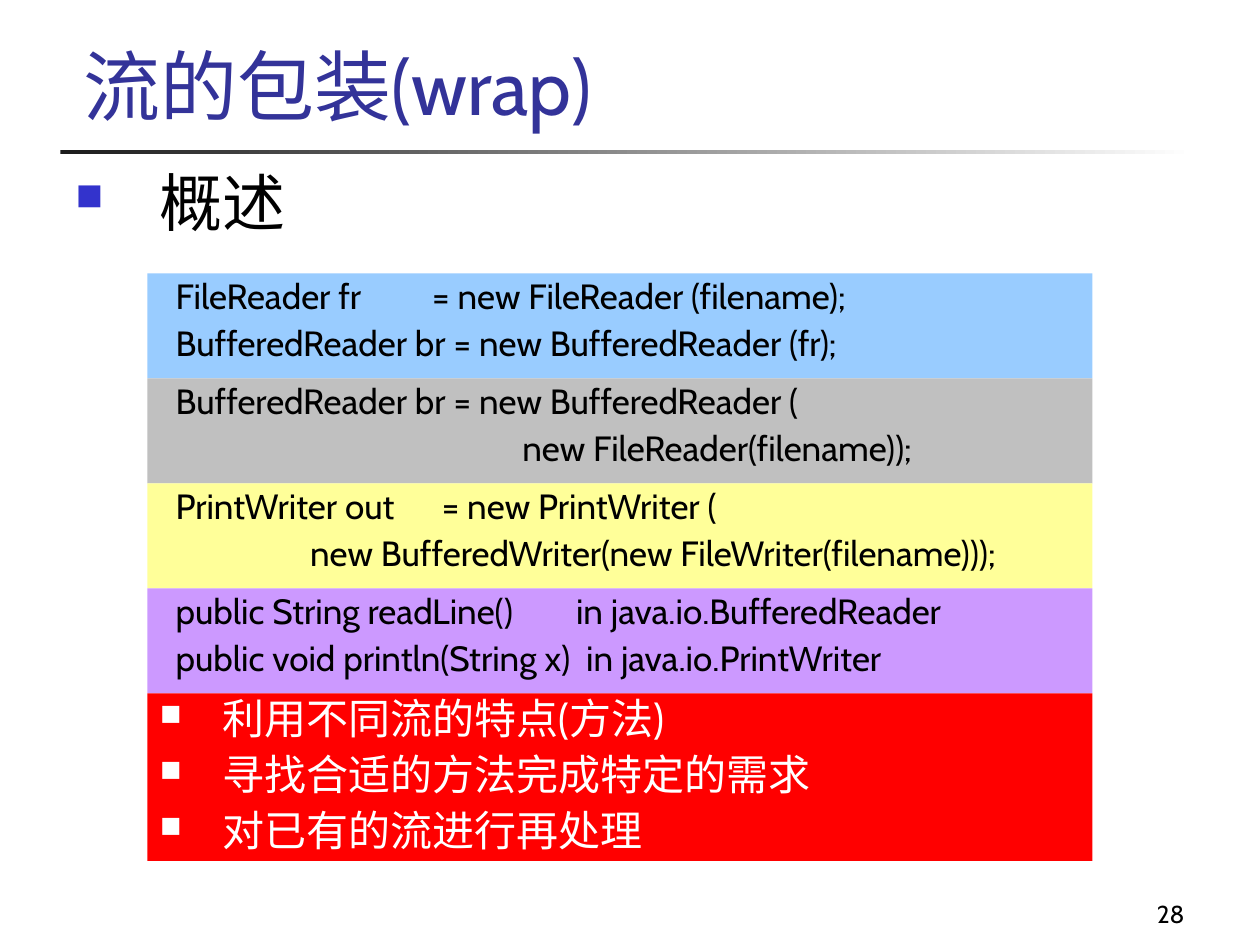
"""Build the slide on wrapping Java streams."""
import dataclasses
import typing

import lxml.etree
import pptx
import pptx.dml.color
import pptx.enum.shapes
import pptx.enum.text
import pptx.oxml.ns
import pptx.util

Inches = pptx.util.Inches
Anchor = pptx.enum.text.MSO_ANCHOR
Align = pptx.enum.text.PP_ALIGN


@dataclasses.dataclass(frozen=True)
class Theme:
    ink: str = "000000"
    paper: str = "FFFFFF"
    title: str = "333399"
    bullet: str = "3333CC"
    rule: str = "1C1C1C"
    wrapping: str = "99CCFF"
    nested: str = "C0C0C0"
    writing: str = "FFFF99"
    methods: str = "CC99FF"
    summary: str = "FF0000"
    font: str = "Cabin"
    heading_font: str = "Comic Neue"
    title_size: int = 44
    heading_size: int = 36
    summary_size: int = 24
    code_size: int = 20
    number_size: int = 14


THEME = Theme()


class Box(typing.NamedTuple):
    left: float
    top: float
    width: float
    height: float

    def lengths(self) -> list[int]:
        return [Inches(side) for side in self]


class Bullet(typing.NamedTuple):
    color: str
    percent: int


@dataclasses.dataclass(frozen=True)
class CodeBand:
    color: str
    lines: tuple[str, ...]


CODE_BANDS = (
    CodeBand(THEME.wrapping, (
        "  FileReader fr         = new FileReader (filename);",
        "  BufferedReader br = new BufferedReader (fr);",
    )),
    CodeBand(THEME.nested, (
        "  BufferedReader br = new BufferedReader (",
        "                                              new FileReader(filename));",
    )),
    CodeBand(THEME.writing, (
        "  PrintWriter out      = new PrintWriter (",
        "\t\t     new BufferedWriter(new FileWriter(filename)));",
    )),
    CodeBand(THEME.methods, (
        "  public String readLine()        in java.io.BufferedReader",
        "  public void println(String x)  in java.io.PrintWriter",
    )),
)
SUMMARY = ("利用不同流的特点(方法)", "寻找合适的方法完成特定的需求", "对已有的流进行再处理")

BAND_LEFT, BAND_TOP, BAND_WIDTH = 1.17, 2.17, 7.5
BAND_HEIGHT = 2.5 / 3
SUMMARY_HEIGHT = 1.33


def rgb(color: str) -> pptx.dml.color.RGBColor:
    """Turn a hex string into a colour."""
    return pptx.dml.color.RGBColor.from_string(color)


def add_element(parent, tag: str, **attributes: str):
    """Append a DrawingML element."""
    return lxml.etree.SubElement(parent, pptx.oxml.ns.qn(tag), attributes)


def write_text(shape, *lines: str, size: int, color: str = THEME.ink,
               font: str = THEME.font, align=Align.LEFT, anchor=Anchor.TOP,
               wrap: bool = True, hanging: float = 0, spacing: float = 1,
               before: int = 0, bullet: Bullet | None = None,
               first_tab: int | None = None) -> None:
    """Fill a shape with equally formatted paragraphs."""
    frame = shape.text_frame
    frame.auto_size = pptx.enum.text.MSO_AUTO_SIZE.NONE
    frame.word_wrap = wrap
    frame.vertical_anchor = anchor
    for index, line in enumerate(lines):
        paragraph = frame.add_paragraph() if index else frame.paragraphs[0]
        paragraph.alignment = align
        paragraph.line_spacing = spacing
        paragraph.space_before = pptx.util.Pt(before if index else 0)
        properties = paragraph._p.get_or_add_pPr()
        properties.set("marL", str(Inches(hanging)))
        properties.set("indent", str(-Inches(hanging)))
        if bullet:
            bullet_color = add_element(properties, "a:buClr")
            add_element(bullet_color, "a:srgbClr", val=bullet.color)
            add_element(properties, "a:buSzPct", val=str(bullet.percent * 1000))
            add_element(properties, "a:buChar", char="■")
        if first_tab is not None:
            tabs = add_element(properties, "a:tabLst")
            for position in range(first_tab, first_tab + 8):
                add_element(tabs, "a:tab", pos=str(Inches(position)), algn="l")
        run = paragraph.add_run()
        run.text = line
        run.font.name = font
        run.font.size = pptx.util.Pt(size)
        run.font.color.rgb = rgb(color)


def add_band(slide, box: Box, color: str):
    """Add a plain rectangle."""
    band = slide.shapes.add_shape(
        pptx.enum.shapes.MSO_SHAPE.RECTANGLE, *box.lengths())
    band.shadow.inherit = False
    band.line.fill.background()
    band.fill.solid()
    band.fill.fore_color.rgb = rgb(color)
    return band


def add_rule(slide, box: Box) -> None:
    """Add the fading rule below the title."""
    fill = add_band(slide, box, THEME.rule).fill
    fill.gradient()
    fill.gradient_angle = 0
    for stop, position, color in zip(
            fill.gradient_stops, (0, 1), (THEME.rule, THEME.paper)):
        stop.position = position
        stop.color.rgb = rgb(color)


def main() -> None:
    """Compose and save the slide."""
    deck = pptx.Presentation()
    deck.slide_width, deck.slide_height = Inches(10), Inches(7.5)
    slide = deck.slides.add_slide(deck.slide_layouts.get_by_name("Title Only"))

    title = slide.shapes.title
    title.left, title.top, title.width, title.height = Box(
        0.56, 0.17, 8.52, 0.92).lengths()
    write_text(title, "流的包装(wrap)", size=THEME.title_size,
               color=THEME.title, anchor=Anchor.BOTTOM)
    add_rule(slide, Box(0.48, 1.19, 9, 0.03))

    heading = slide.shapes.add_textbox(*Box(0.5, 1.25, 9.33, 0.75).lengths())
    write_text(heading, "概述", size=THEME.heading_size, font=THEME.heading_font,
               hanging=0.67, bullet=Bullet(THEME.bullet, 60), first_tab=1)

    for row, code in enumerate(CODE_BANDS):
        box = Box(BAND_LEFT, BAND_TOP + row * BAND_HEIGHT, BAND_WIDTH, BAND_HEIGHT)
        write_text(add_band(slide, box, code.color), *code.lines,
                   size=THEME.code_size, hanging=0.38, spacing=0.9, before=5,
                   first_tab=0)

    summary_top = BAND_TOP + len(CODE_BANDS) * BAND_HEIGHT
    summary = add_band(
        slide, Box(BAND_LEFT, summary_top, BAND_WIDTH, SUMMARY_HEIGHT), THEME.summary)
    write_text(summary, *SUMMARY, size=THEME.summary_size, color=THEME.paper,
               anchor=Anchor.MIDDLE, wrap=False, hanging=0.5, spacing=0.9,
               before=6, bullet=Bullet(THEME.paper, 70), first_tab=1)

    page_number = slide.shapes.add_textbox(*Box(7.42, 6.92, 2.08, 0.5).lengths())
    write_text(page_number, "28", size=THEME.number_size, align=Align.RIGHT,
               anchor=Anchor.BOTTOM)
    deck.save("out.pptx")


if __name__ == "__main__":
    main()
